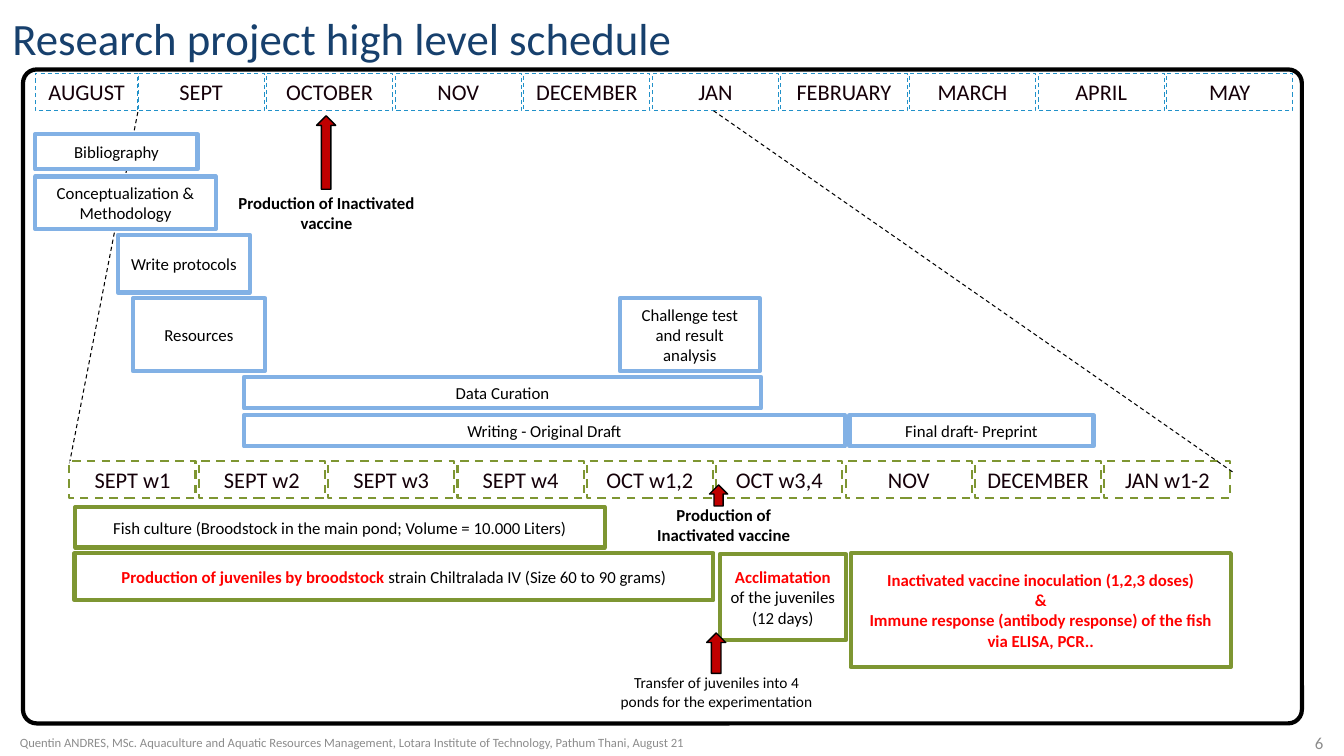
from pptx import Presentation
from pptx.dml.color import RGBColor
from pptx.enum.dml import MSO_LINE
from pptx.enum.shapes import MSO_CONNECTOR, MSO_SHAPE
from pptx.enum.text import MSO_ANCHOR, PP_ALIGN
from pptx.oxml.ns import qn
from pptx.util import Cm, Pt
from lxml import etree

RECT, ROUND, ARROW = MSO_SHAPE.RECTANGLE, MSO_SHAPE.ROUNDED_RECTANGLE, MSO_SHAPE.UP_ARROW
DASH, SOLID = MSO_LINE.DASH, MSO_LINE.SOLID
TOP, MIDDLE, BOTTOM = MSO_ANCHOR.TOP, MSO_ANCHOR.MIDDLE, MSO_ANCHOR.BOTTOM
LEFT, CENTER, RIGHT = PP_ALIGN.LEFT, PP_ALIGN.CENTER, PP_ALIGN.RIGHT

COLORS = {"black": "000000", "white": "FFFFFF", "navy": "17406D", "gray": "8C8C8C",
          "ink": "150009", "red": "FF0000", "dark": "C00000",
          "cyan": "2191C9", "blue": "82B1E5", "green": "7E9632"}
HUES = {name: RGBColor.from_string(code) for name, code in COLORS.items()}

# style: font values, colour
STYLES = {
    "title": ({"size": Pt(32)}, "navy"),
    "head": ({"size": Pt(16)}, "ink"),
    "plain": ({"size": Pt(12), "bold": False}, "black"),
    "bold": ({"size": Pt(12), "bold": True}, "black"),
    "alert": ({"size": Pt(12), "bold": True}, "red"),
    "small": ({"size": Pt(11)}, "black"),
    "page": ({"size": Pt(12)}, "gray"),
    "foot": ({"size": Pt(9)}, "gray"),
}


def draw(kind, at, edge, width, dash=SOLID, fill="white"):
    """Add a preset shape with its fill and outline."""
    shape = slide.shapes.add_shape(kind, *map(Cm, at))
    shape.shadow.inherit = False
    if fill:
        shape.fill.solid()
        shape.fill.fore_color.rgb = HUES[fill]
    else:
        shape.fill.background()
    shape.line.color.rgb = HUES[edge]
    shape.line.width = Pt(width)
    shape.line.dash_style = dash
    return shape


def write(shape, lines, anchor=MIDDLE, align=CENTER):
    """Fill a shape with paragraphs, each a list of (text, style) runs."""
    frame = shape.text_frame
    frame.word_wrap = True
    frame.vertical_anchor = anchor
    for i, line in enumerate(lines):
        para = frame.add_paragraph() if i else frame.paragraphs[0]
        para.alignment = align
        for text, style in line:
            run = para.add_run()
            run.text = text
            values, hue = STYLES[style]
            run.font.name = "Calibri"
            run.font.color.rgb = HUES[hue]
            for key, value in values.items():
                setattr(run.font, key, value)


prs = Presentation()
prs.slide_width, prs.slide_height = Cm(33.87), Cm(19.05)
slide = prs.slides.add_slide(prs.slide_layouts[6])

# Guide lines from the months to the weeks
guides = []
for ends in [(1.75, 11.68, 3.48, 2.79), (31.06, 11.89, 17.98, 2.79)]:
    guide = slide.shapes.add_connector(MSO_CONNECTOR.STRAIGHT, *map(Cm, ends))
    guide.line.color.rgb = HUES["black"]
    guide.line.width = Pt(0.75)
    guide.line.dash_style = DASH
    etree.SubElement(guide._element.spPr, qn("a:effectLst"))
    guides.append(guide)

border = draw(ROUND, (0.58, 1.75, 32.23, 16.48), "black", 3, fill=None)
border.adjustments[0] = 0.021

# Month and week headers
months = ["SEPT", "OCTOBER", "NOV", "DECEMBER", "JAN", "FEBRUARY", "MARCH", "APRIL", "MAY"]
weeks = ["SEPT w1", "SEPT w2", "SEPT w3", "SEPT w4", "OCT w1,2", "OCT w3,4",
         "NOV", "DECEMBER", "JAN w1-2"]
august = draw(RECT, (0.89, 1.85, 2.59, 0.94), "cyan", 0.75, DASH)
write(august, [[("AUGUST", "head")]])
for names, left, top, step, edge, width in [
        (months, 3.48, 1.85, 3.24, "cyan", 0.75),
        (weeks, 1.75, 11.62, 3.26, "green", 1.5)]:
    for i, name in enumerate(names):
        cell = draw(RECT, (left + i * step, top, 3.18, 0.94), edge, width, DASH)
        write(cell, [[(name, "head")]])

# Tasks: place, outline, paragraphs
tasks = [
    ((0.89, 3.38, 4.09, 0.89), "blue", [[("Bibliography", "plain")]]),
    ((0.89, 4.45, 4.55, 1.32), "blue",
     [[("Conceptualization &", "plain")], [("Methodology", "plain")]]),
    ((2.97, 5.92, 3.33, 1.45), "blue", [[("Write protocols", "plain")]]),
    ((3.35, 7.52, 3.33, 1.83), "blue", [[("Resources", "plain")]]),
    ((15.62, 7.52, 3.53, 1.83), "blue", [[("Challenge test and result analysis", "plain")]]),
    ((6.15, 9.5, 13.03, 0.79), "blue", [[("Data Curation", "plain")]]),
    ((6.15, 10.46, 15.14, 0.79), "blue", [[("Writing - Original Draft", "plain")]]),
    ((21.41, 10.46, 6.15, 0.79), "blue", [[("Final draft- Preprint", "plain")]]),
    ((1.9, 12.78, 13.34, 1.02), "green",
     [[("Fish culture (Broodstock in the main pond; Volume = 10.000 Liters)", "plain")]]),
    ((1.88, 13.94, 16.1, 1.19), "green",
     [[("Production of juveniles by broodstock ", "alert"),
       ("strain Chiltralada IV (Size 60 to 90 grams)", "plain")]]),
    ((18.14, 13.97, 3.18, 2.16), "green",
     [[("Acclimatation", "alert"), (" of the juveniles (12 days)", "plain")]]),
    ((21.44, 13.94, 9.58, 2.87), "green",
     [[("Inactivated vaccine inoculation (1,2,3 doses)", "alert")], [("&", "alert")],
      [("Immune response (antibody response) of the fish via ELISA, PCR..", "alert")]]),
]
for at, edge, lines in tasks:
    write(draw(RECT, at, edge, 3), lines)

for at in [(7.98, 2.92, 0.48, 1.85), (17.88, 12.22, 0.46, 0.53), (17.81, 15.95, 0.48, 1.02)]:
    draw(ARROW, at, "black", 1, fill="dark")

# Free text: place, text, style, anchor, alignment
vaccine = "Production of Inactivated vaccine"
school = "Lotara Institute of Technology"
notes = [
    ((0, 0, 17.25, 1.75), "Research project high level schedule", "title", BOTTOM, CENTER),
    ((5.64, 4.01, 5.18, 2.69), vaccine, "bold", MIDDLE, CENTER),
    ((16.21, 12.83, 4.06, 0.79), vaccine, "bold", MIDDLE, CENTER),
    ((15.37, 16.84, 5.38, 1.19), "Transfer of juveniles into 4 ponds for the experimentation",
     "small", TOP, CENTER),
    ((32.05, 18.2, 1.55, 1.02), "6", "page", MIDDLE, RIGHT),
    ((0.25, 18.39, 22.4, 0.66), "Quentin ANDRES, MSc. Aquaculture and Aquatic Resources "
     f"Management, {school}, Pathum Thani, August 21", "foot", MIDDLE, LEFT),
]
for at, text, style, anchor, align in notes:
    write(slide.shapes.add_textbox(*map(Cm, at)), [[(text, style)]], anchor, align)

# The right guide lies over the headers
slide.shapes._spTree.append(guides[1]._element)

prs.save("out.pptx")
